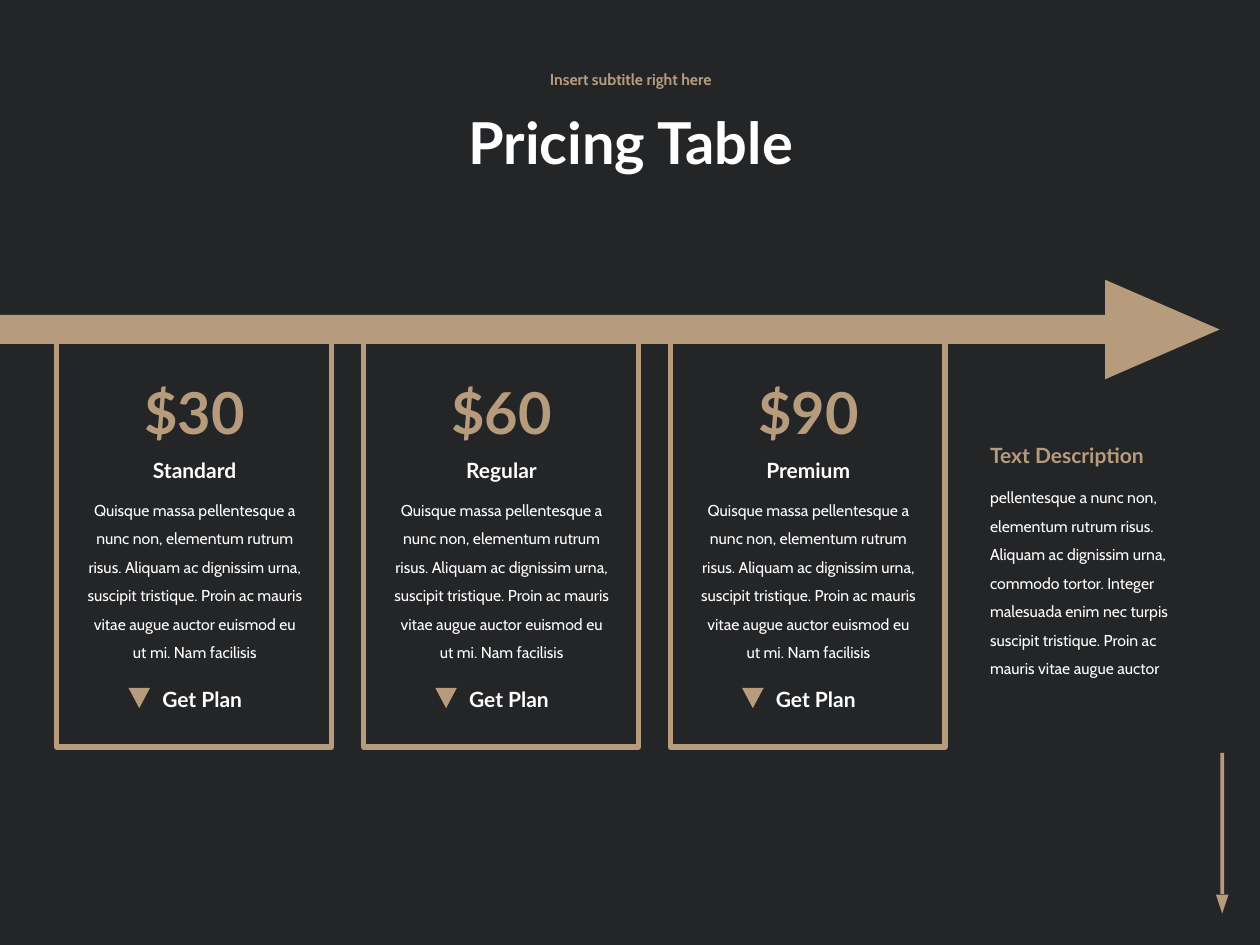
import pptx
import pptx.util
from dataclasses import dataclass
from pptx.dml.color import RGBColor
from pptx.enum.shapes import MSO_SHAPE
from pptx.enum.text import MSO_ANCHOR, MSO_AUTO_SIZE, PP_ALIGN

Inches = pptx.util.Inches
Pt = pptx.util.Pt


@dataclass(frozen=True)
class Theme:
    dark: RGBColor = RGBColor(0x24, 0x25, 0x27)
    tan: RGBColor = RGBColor(0xB6, 0x9B, 0x7D)
    white: RGBColor = RGBColor(0xFF, 0xFF, 0xFF)
    heading_font: str = "Lato"
    body_font: str = "Cabin"
    display: int = 33
    heading: int = 12
    body: int = 9


theme = Theme()

deck = pptx.Presentation()
deck.slide_width, deck.slide_height = Inches(10), Inches(7.5)
slide = deck.slides.add_slide(deck.slide_layouts[5])
slide.background.fill.solid()
slide.background.fill.fore_color.rgb = theme.dark


def add_solid(kind, left, top, width, height, rotation=0):
    """Add a tan shape without an outline."""
    shape = slide.shapes.add_shape(
        kind, Inches(left), Inches(top), Inches(width), Inches(height))
    shape.shadow.inherit = False
    shape.fill.solid()
    shape.fill.fore_color.rgb = theme.tan
    shape.line.fill.background()
    shape.rotation = rotation
    return shape


def write(box, text, size, color, font=theme.heading_font, bold=True,
          align=PP_ALIGN.LEFT, spacing=1.0, anchor=MSO_ANCHOR.TOP):
    """Fill a text box or placeholder with one formatted paragraph."""
    frame = box.text_frame
    frame.text = text
    frame.word_wrap = True
    frame.auto_size = MSO_AUTO_SIZE.NONE
    frame.vertical_anchor = anchor
    paragraph = frame.paragraphs[0]
    paragraph.alignment = align
    paragraph.line_spacing = spacing
    paragraph.font.name = font
    paragraph.font.size = Pt(size)
    paragraph.font.bold = bold
    paragraph.font.color.rgb = color


# Heading
title = slide.shapes.title
title.left, title.top = Inches(2.19), Inches(0.64)
title.width, title.height = Inches(5.63), Inches(1.03)
write(title, "Pricing Table", theme.display, theme.white,
      align=PP_ALIGN.CENTER, spacing=0.9, anchor=MSO_ANCHOR.MIDDLE)

subtitle = slide.shapes.add_textbox(
    Inches(2.19), Inches(0.45), Inches(5.63), Inches(0.38))
write(subtitle, "Insert subtitle right here", theme.body, theme.tan,
      theme.body_font, align=PP_ALIGN.CENTER, spacing=0.9,
      anchor=MSO_ANCHOR.MIDDLE)

# Pricing cards
plans = [("$30", "Standard"), ("$60", "Regular"), ("$90", "Premium")]
plan_details = (
    "Quisque massa pellentesque a nunc non, elementum rutrum risus. "
    "Aliquam ac dignissim urna, suscipit tristique. Proin ac mauris vitae "
    "augue auctor euismod eu ut mi. Nam facilisis")
card_left, card_pitch = 0.45, 2.435

for index, (price, plan) in enumerate(plans):
    left = card_left + index * card_pitch
    card = add_solid(MSO_SHAPE.RECTANGLE, left, 2.59, 2.18, 3.34)
    card.fill.fore_color.rgb = theme.dark
    card.line.color.rgb = theme.tan
    card.line.width = Pt(3)

    price_box = slide.shapes.add_textbox(
        Inches(left + 0.45), Inches(2.94), Inches(1.29), Inches(0.65))
    write(price_box, price, theme.display, theme.tan, align=PP_ALIGN.CENTER)

    plan_box = slide.shapes.add_textbox(
        Inches(left + 0.39), Inches(3.58), Inches(1.41), Inches(0.3))
    write(plan_box, plan, theme.heading, theme.white, align=PP_ALIGN.CENTER)

    details_box = slide.shapes.add_textbox(
        Inches(left + 0.14), Inches(3.85), Inches(1.91), Inches(1.68))
    write(details_box, plan_details, theme.body, theme.white, theme.body_font,
          bold=False, align=PP_ALIGN.CENTER, spacing=1.5)

    get_plan = slide.shapes.add_textbox(
        Inches(left + 0.74), Inches(5.4), Inches(0.96), Inches(0.3))
    write(get_plan, "Get Plan", theme.heading, theme.white)
    add_solid(MSO_SHAPE.ISOSCELES_TRIANGLE, left + 0.57, 5.46, 0.17, 0.16, 180)

# Long arrow across the card tops
add_solid(MSO_SHAPE.RECTANGLE, -0.21, 2.5, 8.99, 0.23)
add_solid(MSO_SHAPE.ISOSCELES_TRIANGLE, 8.83, 2.16, 0.79, 0.91, 90)

# Side description
description_heading = slide.shapes.add_textbox(
    Inches(7.76), Inches(3.46), Inches(1.77), Inches(0.3))
write(description_heading, "Text Description", theme.heading, theme.tan)

description = slide.shapes.add_textbox(
    Inches(7.76), Inches(3.75), Inches(1.77), Inches(1.91))
write(description,
      "pellentesque a nunc non, elementum rutrum risus. Aliquam ac dignissim "
      "urna, commodo tortor. Integer malesuada enim nec turpis suscipit "
      "tristique. Proin ac mauris vitae augue auctor",
      theme.body, theme.white, theme.body_font, bold=False, spacing=1.5)

# Small down arrow in the corner
add_solid(MSO_SHAPE.RECTANGLE, 9.14, 6.52, 1.12, 0.03, 90)
add_solid(MSO_SHAPE.ISOSCELES_TRIANGLE, 9.65, 7.1, 0.1, 0.15, 180)

deck.save("out.pptx")
